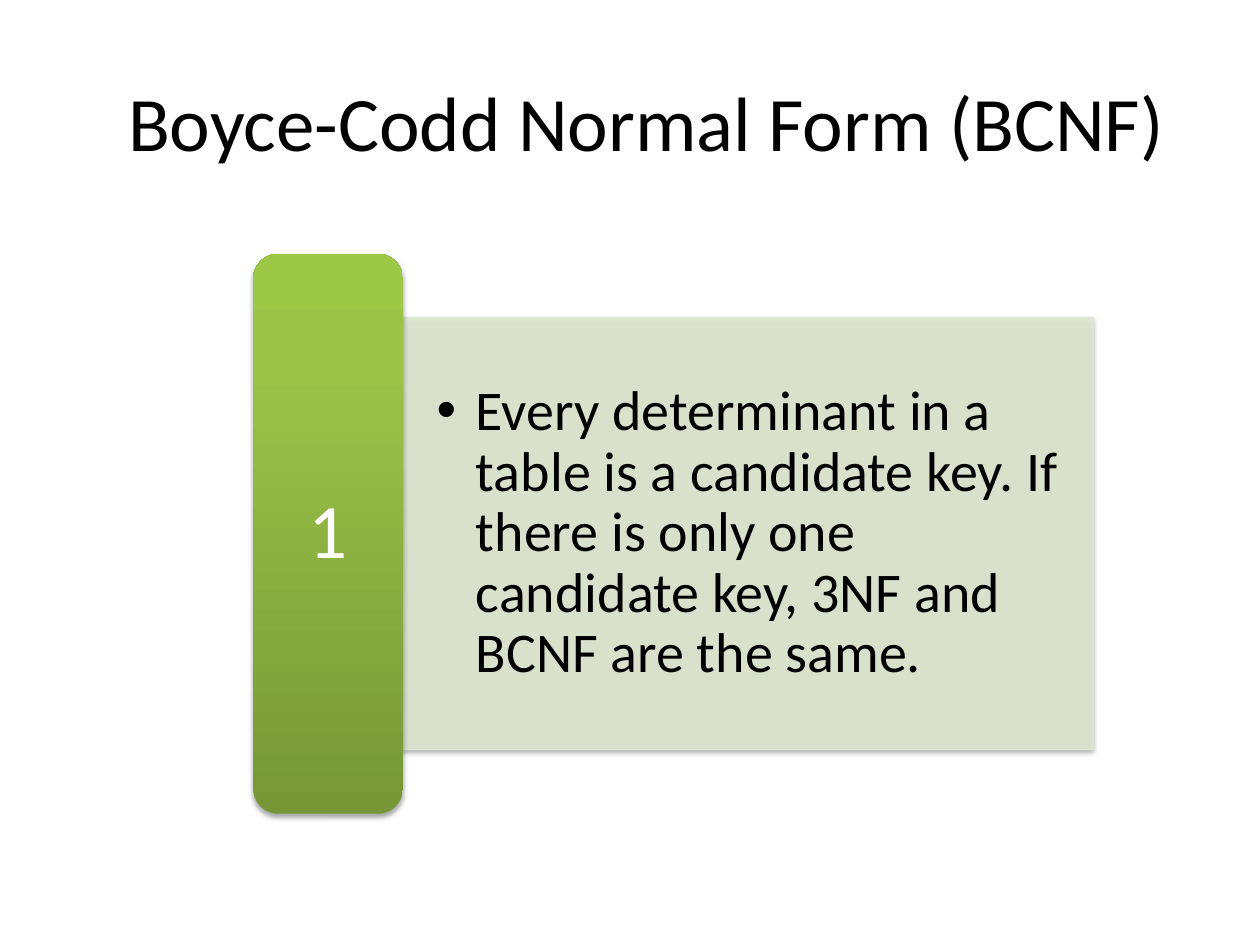
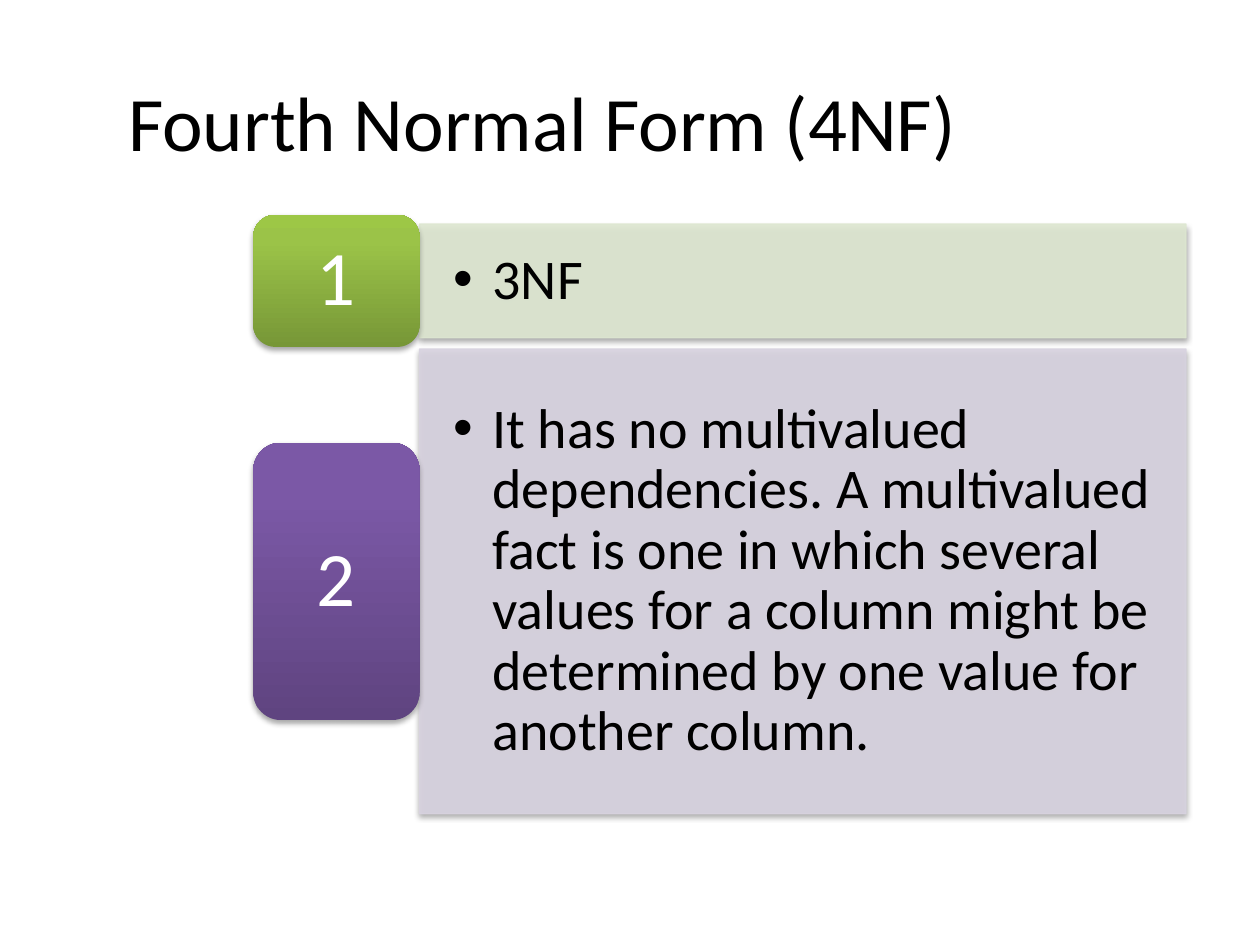
from lxml import etree
from pptx import Presentation
from pptx.dml.color import RGBColor
from pptx.enum.shapes import MSO_SHAPE
from pptx.enum.text import MSO_ANCHOR, PP_ALIGN
from pptx.oxml.ns import qn
from pptx.util import Pt

RECTANGLE = MSO_SHAPE.RECTANGLE
ROUNDED = MSO_SHAPE.ROUNDED_RECTANGLE
MIDDLE = MSO_ANCHOR.MIDDLE
LEFT, CENTER = PP_ALIGN.LEFT, PP_ALIGN.CENTER

COLORS = {
    "text": "000000",
    "number": "FFFFFF",
    "shadow": "000000",
    "green panel": "DEE7D1",
    "green dark": "779737",
    "green mid": "9BC348",
    "green light": "9DC746",
    "purple panel": "D8D3E0",
    "purple dark": "5F4480",
    "purple mid": "7B58A6",
    "purple light": "7C57A8",
}
FONT = "Calibri"
TAB_LEFT = 144.75
BULLET_INDENT = 22.5


def add_node(parent, tag, **attributes):
    """Append a drawing element with the given attributes."""
    node = etree.SubElement(parent, qn(tag))
    for key, value in attributes.items():
        node.set(key, str(value))
    return node


def write_text(frame, text, size, color, align=LEFT, spacing=None, bullet=False):
    """Fill a text frame with one formatted paragraph."""
    frame.word_wrap = True
    frame.vertical_anchor = MIDDLE
    para = frame.paragraphs[0]
    para.alignment = align
    para.line_spacing = spacing
    if bullet:
        properties = para._p.get_or_add_pPr()
        properties.set("marL", str(Pt(BULLET_INDENT)))
        properties.set("indent", str(-Pt(BULLET_INDENT)))
        add_node(properties, "a:buFont", typeface="Arial")
        add_node(properties, "a:buChar", char="•")
    span = para.add_run()
    span.text = text
    span.font.name = FONT
    span.font.size = Pt(size)
    span.font.color.rgb = RGBColor.from_string(COLORS[color])


class Builder:
    """Holds the deck, its style and the current page."""

    def __init__(self):
        self.deck = Presentation()
        self.deck.slide_width, self.deck.slide_height = Pt(720), Pt(540)
        self.page = None

    def start_page(self, title):
        self.page = self.deck.slides.add_slide(self.deck.slide_layouts[5])
        box = self.page.shapes.title
        box.left, box.top, box.width, box.height = Pt(66), Pt(24), Pt(636), Pt(90)
        write_text(box.text_frame, title, 44, "text")

    def add_box(self, kind, left, top, width, height, margins):
        """Add a shape with a soft shadow below it."""
        box = self.page.shapes.add_shape(
            kind, Pt(left), Pt(top), Pt(width), Pt(height))
        box.shadow.inherit = False
        effects = box._element.spPr.find(qn("a:effectLst"))
        shadow = add_node(effects, "a:outerShdw", blurRad=Pt(3.1), dist=Pt(1.8),
                          dir=90 * 60000, rotWithShape=0)
        color = add_node(shadow, "a:srgbClr", val=COLORS["shadow"])
        add_node(color, "a:alpha", val=35000)
        frame = box.text_frame
        frame.margin_left = frame.margin_right = Pt(margins[0])
        frame.margin_top = frame.margin_bottom = Pt(margins[1])
        return box

    def add_panel(self, text, hue, left, top, width, height):
        box = self.add_box(RECTANGLE, left, top, width, height, (19.2, 9.6))
        color = RGBColor.from_string(COLORS[f"{hue} panel"])
        box.line.width = Pt(0.75)
        for fill in (box.fill, box.line.fill):
            fill.solid()
            fill.fore_color.rgb = color
        for node in box._element.spPr.findall(".//" + qn("a:solidFill")):
            add_node(node[0], "a:alpha", val=90000)
        write_text(box.text_frame, text, 32, "text", spacing=0.9, bullet=True)

    def add_tab(self, number, hue, top, width, height):
        box = self.add_box(ROUNDED, TAB_LEFT, top, width, height, (17, 11))
        box.line.fill.background()
        box.fill.gradient()
        box.fill.gradient_angle = 90
        stops = box._element.spPr.find(".//" + qn("a:gsLst"))
        for stop in list(stops):
            stops.remove(stop)
        for position, shade in ((0, "dark"), (80, "mid"), (100, "light")):
            stop = add_node(stops, "a:gs", pos=position * 1000)
            add_node(stop, "a:srgbClr", val=COLORS[f"{hue} {shade}"])
        write_text(box.text_frame, number, 44, "number", CENTER, 0.9)

    def add_row(self, number, text, hue, top, height, width, tab_width, tab_height):
        """Add a panel with a numbered tab centred on its left side."""
        self.add_panel(text, hue, TAB_LEFT + tab_width, top, width, height)
        tab_top = top + (height - tab_height) / 2
        self.add_tab(number, hue, tab_top, tab_width, tab_height)


def main():
    builder = Builder()

    # Boyce-Codd normal form
    builder.start_page("Boyce-Codd Normal Form (BCNF)")
    builder.add_row(
        "1", "Every determinant in a table is a candidate key. If there is only one "
        "candidate key, 3NF and BCNF are the same.",
        "green", top=181.5, height=247, width=394.5, tab_width=85.5, tab_height=320)

    # Fourth normal form
    builder.start_page("Fourth Normal Form (4NF)")
    sizes = {"width": 438, "tab_width": 95}
    builder.add_row("1", "3NF", "green", top=128, height=65, tab_height=75.5, **sizes)
    builder.add_row(
        "2", "It has no multivalued dependencies. A multivalued fact is one in which "
        "several values for a column might be determined by one value for another "
        "column.",
        "purple", top=199.5, height=265.5, tab_height=158.5, **sizes)

    builder.deck.save("out.pptx")


if __name__ == "__main__":
    main()
